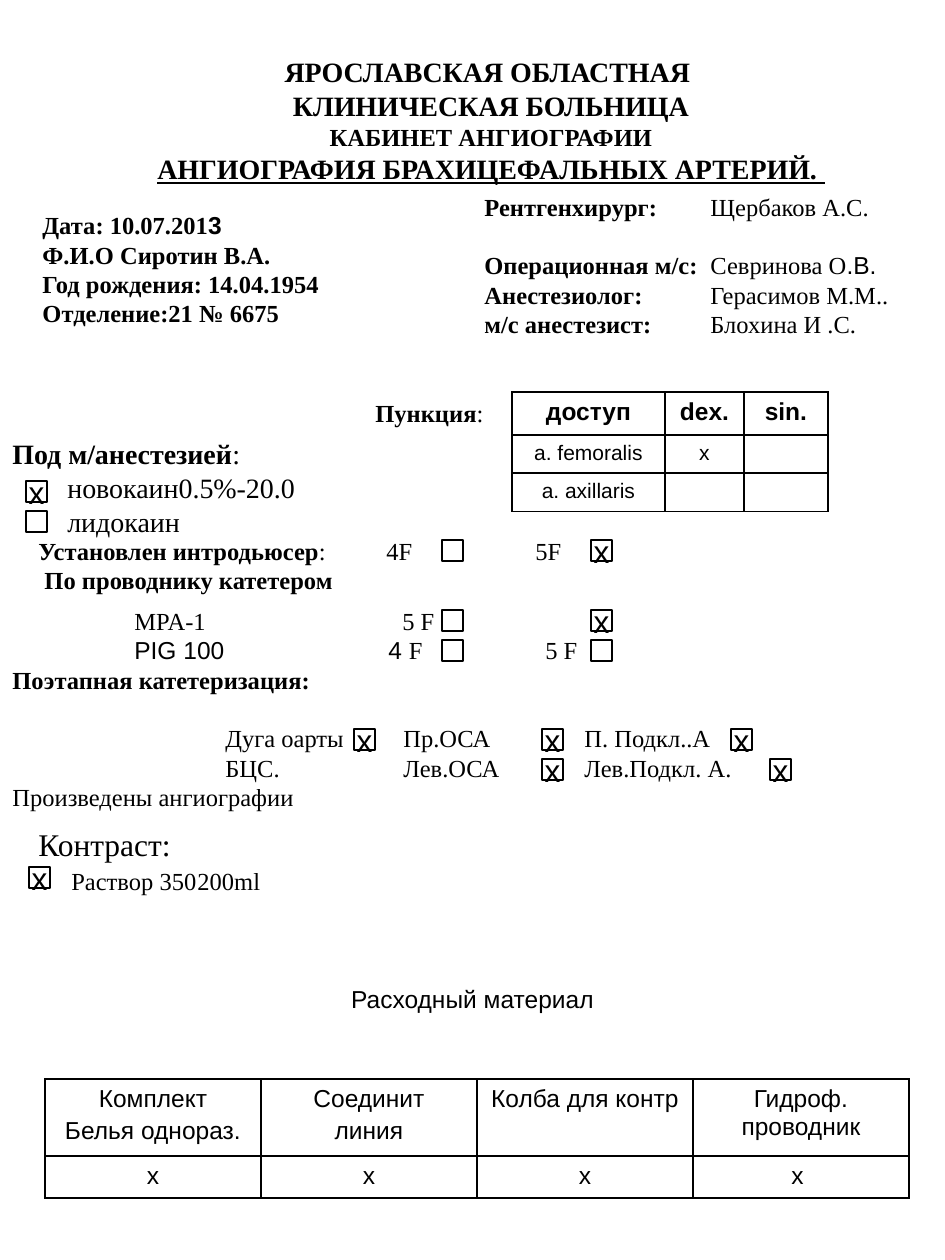
"""Build the angiography record form as a one-slide deck."""
from lxml import etree
from pptx import Presentation
from pptx import util as u
from pptx.dml.color import RGBColor
from pptx.enum import shapes, text
from pptx.oxml.ns import qn

SERIF, SANS = "Times New Roman", "Arial"
LEFT, MID = text.PP_ALIGN.LEFT, text.PP_ALIGN.CENTER
TOP, CENTRE = text.MSO_ANCHOR.TOP, text.MSO_ANCHOR.MIDDLE


def px(n):
    return u.Emu(n * 7257)


def tint(code):
    return RGBColor.from_string(code)


class Form:
    def __init__(self, deck, ink="000000"):
        self.ink = ink
        self.page = deck.slides.add_slide(deck.slide_layouts[5])

    def par(self, frame, runs, size=14, font=SERIF, align=LEFT, tabs=(), indent=0, gap=0, line=False):
        p = frame.paragraphs[0]
        if p.runs:
            p = frame.add_paragraph()
        props = p._p.get_or_add_pPr()
        if indent:
            props.set("marL", str(px(indent)))
            props.set("indent", "0")
        if tabs:
            stops = etree.SubElement(props, qn("a:tabLst"))
            for tab in tabs:
                etree.SubElement(stops, qn("a:tab"), pos=str(px(tab)), algn="l")
        p.alignment = align
        if gap:
            p.space_before = px(gap)
        for words, bold, *face in runs:
            run = p.add_run()
            run.text = words
            look = run.font
            look.name = face[0] if face else font
            look.size, look.bold = u.Pt(size), bold
            look.color.rgb = tint(self.ink)
            if line:
                look.underline = True

    def fit(self, frame, anchor=TOP, inset=6, wrap=True):
        frame.word_wrap = wrap
        frame.auto_size = text.MSO_AUTO_SIZE.NONE
        frame.vertical_anchor = anchor
        frame.margin_left = frame.margin_right = u.Inches(0.1)
        frame.margin_top, frame.margin_bottom = px(inset), px(6)
        return frame

    def title(self, x, y, w, h, inset):
        head = self.page.shapes.title
        head.left, head.top, head.width, head.height = map(px, (x, y, w, h))
        return self.fit(head.text_frame, inset=inset)

    def box(self, x, y, w, h, **style):
        shape = self.page.shapes.add_textbox(*map(px, (x, y, w, h)))
        return self.fit(shape.text_frame, **style)

    def check(self, x, y, mark, side=21):
        shape = self.page.shapes.add_shape(shapes.MSO_SHAPE.RECTANGLE, *map(px, (x, y, side, side)))
        shape.shadow.inherit = False
        shape.fill.background()
        shape.line.color.rgb = tint(self.ink)
        shape.line.width = u.Pt(0.75)
        if mark:
            frame = self.fit(shape.text_frame, CENTRE, wrap=False)
            self.par(frame, [("х", False)], 18, SANS, MID)

    def edge(self, cell):
        props = cell._tc.get_or_add_tcPr()
        for side in ("lnL", "lnR", "lnT", "lnB"):
            line = etree.SubElement(props, qn("a:" + side), w=str(u.Pt(1)))
            fill = etree.SubElement(line, qn("a:solidFill"))
            etree.SubElement(fill, qn("a:srgbClr"), val=self.ink)
        cell.fill.background()

    def table(self, x, y, cols, rows, data, sizes, bold=False):
        frame = self.page.shapes.add_table(
            len(rows), len(cols), *map(px, (x, y, sum(cols), sum(rows))))
        grid = frame.table
        grid.first_row = grid.horz_banding = False
        for col, w in zip(grid.columns, cols):
            col.width = px(w)
        for r, (row, h) in enumerate(zip(grid.rows, rows)):
            row.height = px(h)
            for cell, words in zip(row.cells, data[r]):
                self.edge(cell)
                for i, part in enumerate(words.split("\n") if words else ()):
                    self.par(cell.text_frame, [(part, bold and r == 0)],
                             sizes[r], SANS, MID, gap=4 if i else 0)
                if not words:
                    p = cell.text_frame.paragraphs[0]
                    etree.SubElement(p._p, qn("a:endParaRPr"), sz=str(sizes[r] * 100))


def main():
    deck = Presentation()
    deck.slide_width, deck.slide_height = u.Inches(7.5), u.Inches(10)
    form = Form(deck)

    head = form.title(66, 44, 850, 186, 11)
    for words, size, line in (
        ("ЯРОСЛАВСКАЯ ОБЛАСТНАЯ ", 16, False),
        ("КЛИНИЧЕСКАЯ БОЛЬНИЦА", 16, False),
        ("КАБИНЕТ АНГИОГРАФИИ", 14, False),
        ("АНГИОГРАФИЯ БРАХИЦЕФАЛЬНЫХ АРТЕРИЙ. ", 16, True),
    ):
        form.par(head, [(words, True)], size, align=MID, line=line)

    who = form.box(30, 164, 325, 210, anchor=CENTRE)
    form.par(who, [("Дата: 10.07.201", True), ("3", True, SANS)])
    for words in ("Ф.И.О Сиротин В.А.", "Год рождения: 14.04.1954", "Отделение:21 № 6675"):
        form.par(who, [(words, True)])

    team = form.box(472, 186, 473, 161)
    for role, name, gap in (
        ("Рентгенхирург:", [("Щербаков А.С.", False)], 0),
        ("Операционная м/с:", [("Севринова О", False), (".В.", False, SANS)], 29),
        ("Анестезиолог:", [("Герасимов М.М..", False)], 0),
        ("м/с анестезист:", [("Блохина И .С.", False)], 0),
    ):
        form.par(team, [(role + "\t", True), *name], tabs=[226], gap=gap)

    drug = form.box(0, 372, 431, 258, inset=65)
    form.par(drug, [("Под м/анестезией", True), (":", False)], 16)
    for words in ("новокаин0.5%-20.0", "лидокаин"):
        form.par(drug, [(words, False)], 16, indent=55)

    entry = form.box(363, 392, 134, 42, wrap=False)
    form.par(entry, [("Пункция", True), (":", False)])
    form.table(512, 392, (153, 79, 84), (43, 38, 38), (
        ("доступ", "dex.", "sin."),
        ("a. femoralis", "х", ""),
        ("a. axillaris", "", ""),
    ), (14, 12, 12), bold=True)

    sheath = form.box(26, 530, 796, 72)
    form.par(sheath, [("Установлен интродьюсер", True), (":\t4F\t5F", False)], tabs=[348, 497])
    form.par(sheath, [(" По проводнику катетером", True)])

    steps = form.box(0, 600, 945, 251)
    form.par(steps, [("\tMPA-1\t5 F", False)], tabs=[122, 390])
    form.par(steps, [("\tРIG 100\t4 ", False, SANS), ("F\t5 F", False)], tabs=[122, 376, 533])
    form.par(steps, [("Поэтапная катетеризация:", True)])
    for words, gap in (("\tДуга оарты\tПр.ОСА\tП. Подкл..А", 29),
                       ("\tБЦС.\tЛев.ОСА\tЛев.Подкл. А.", 0)):
        form.par(steps, [(words, False)], tabs=[213, 391, 572], gap=gap)
    form.par(steps, [("Произведены ангиографии", False)])

    dye = form.box(26, 819, 469, 174)
    form.par(dye, [("Контраст:", False)], 18)
    form.par(dye, [("Раствор 350\t200ml", False)], indent=33, tabs=[190], gap=3)

    kit = form.box(0, 978, 945, 130)
    form.par(kit, [("Расходный материал", False)], font=SANS, align=MID)
    form.table(45, 1079, (216,) * 4, (77, 42), (
        ("Комплект\nБелья однораз.", "Соединит\nлиния", "Колба для контр", "Гидроф. проводник"),
        ("х", "х", "х", "х "),
    ), (14, 14))

    for y, marks in {
        481: {26: True},
        511: {26: False},
        540: {442: False, 591: True},
        610: {442: False, 591: True},
        640: {442: False, 591: False},
        729: {354: True, 542: True, 731: True},
        759: {542: True, 770: True},
        867: {29: True},
    }.items():
        for x, mark in marks.items():
            form.check(x, y, mark)

    deck.save("out.pptx")


if __name__ == "__main__":
    main()
